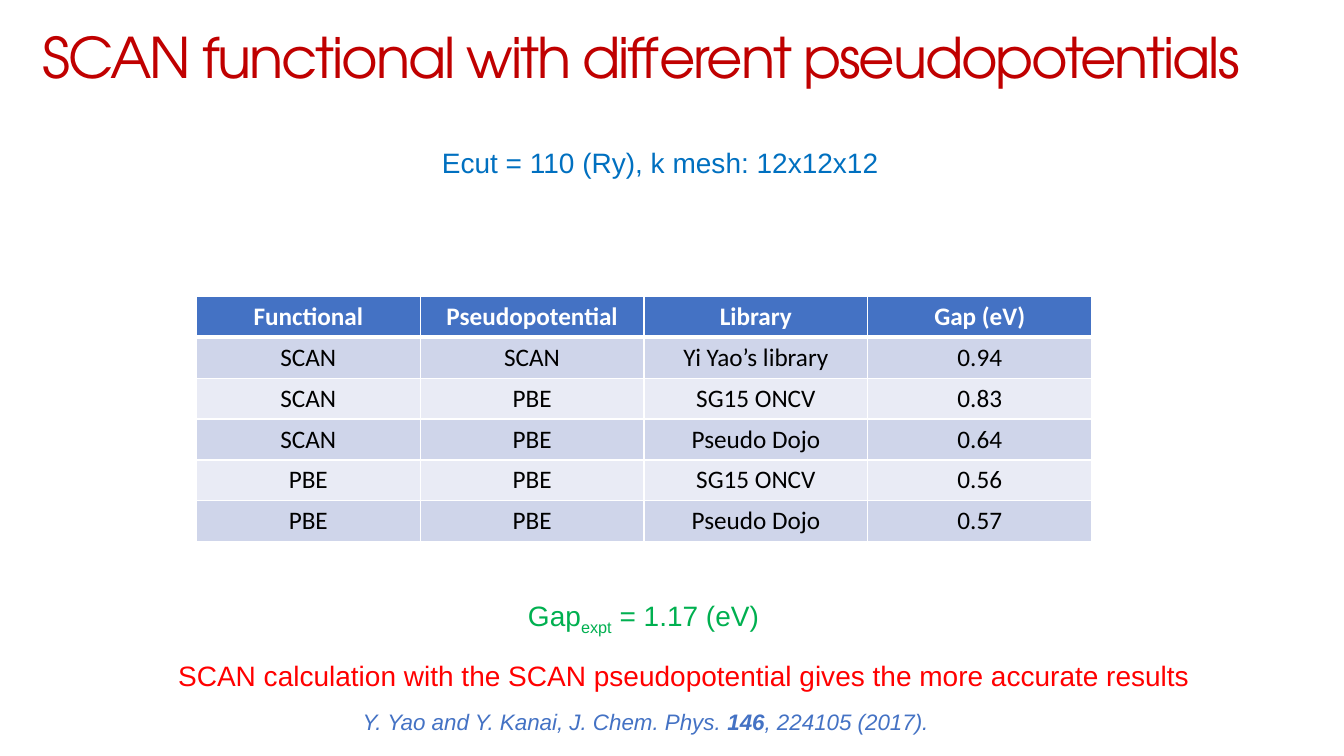
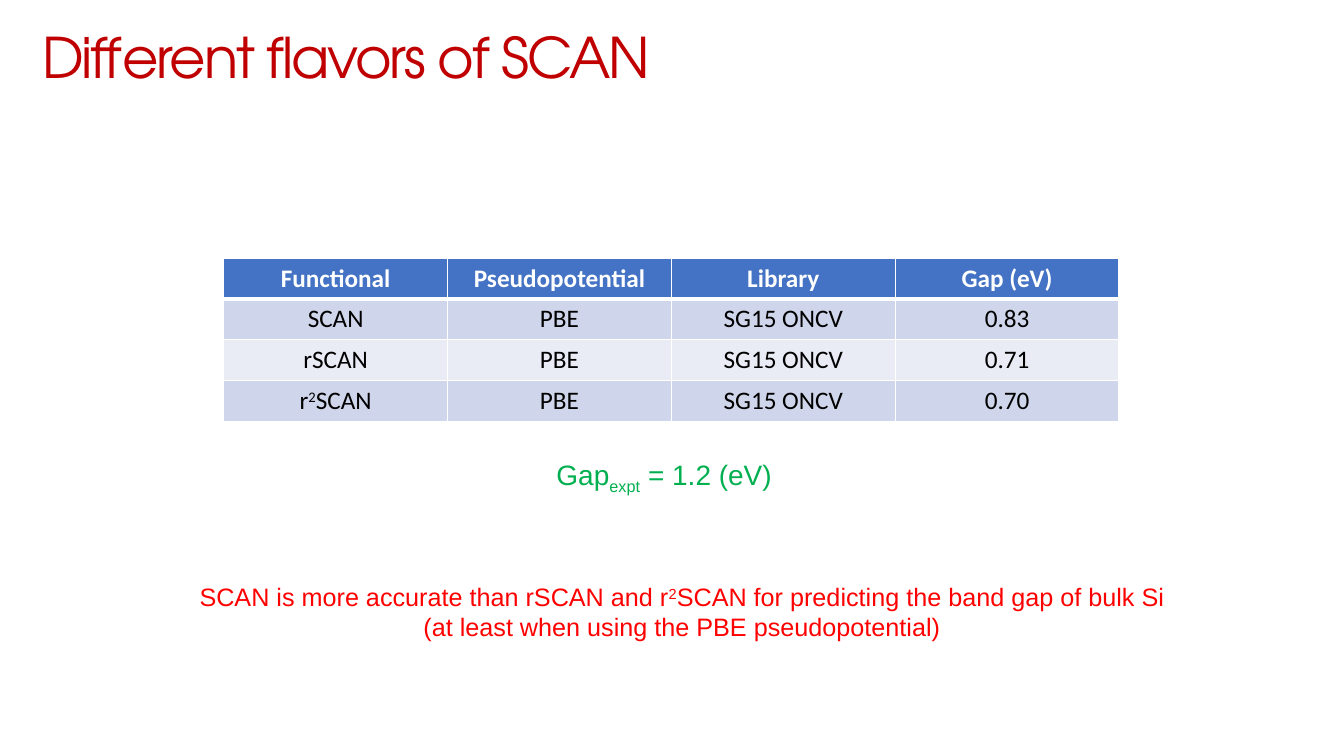
"""Build two slides comparing SCAN band gaps across pseudopotentials and flavors."""
from lxml import etree
from pptx import Presentation
from pptx.dml.color import RGBColor
from pptx.enum import text as t
from pptx.oxml import ns
from pptx.util import Cm, Pt

TITLE_RED = RGBColor(0xC0, 0x00, 0x00)
RED = RGBColor(0xFF, 0x00, 0x00)
GREEN = RGBColor(0x00, 0xB0, 0x50)
SKY = RGBColor(0x00, 0x70, 0xC0)
BLUE = RGBColor(0x44, 0x72, 0xC4)
BAND_DARK = RGBColor(0xCF, 0xD5, 0xEA)
BAND_LIGHT = RGBColor(0xE9, 0xEB, 0xF5)
WHITE = RGBColor(0xFF, 0xFF, 0xFF)
BLACK = RGBColor(0x00, 0x00, 0x00)

TITLE_FONT, BODY_FONT, TABLE_FONT = "TeX Gyre Adventor", "Arial", "Calibri"
SUB, SUPER = {"baseline": -25000}, {"baseline": 30000}
BOLD = {"b": 1}
R2SCAN = ["r", ("2", SUPER), "SCAN"]
HEADER = ["Functional", "Pseudopotential", "Library", "Gap (eV)"]
COL_WIDTH, ROW_HEIGHT = Cm(5.64), Cm(1.03)


def add_runs(p, runs, font, size, color, **attrs):
    """Fill a paragraph with a string, or with strings and (text, attributes) pairs."""
    for run in [runs] if isinstance(runs, str) else runs:
        text, extra = (run, {}) if isinstance(run, str) else run
        r = p.add_run()
        r.text = text
        r.font.name, r.font.size = font, Pt(size)
        r.font.color.rgb = color
        for name, value in {**attrs, **extra}.items():
            r._r.get_or_add_rPr().set(name, str(value))


def add_title(s, text):
    """Add the slide title."""
    tf = s.shapes.add_textbox(Cm(1.07), Cm(0.03), Cm(32.69), Cm(2.79)).text_frame
    tf.word_wrap = True
    tf.vertical_anchor = t.MSO_ANCHOR.MIDDLE
    tf.margin_left = tf.margin_top = tf.margin_bottom = 0
    tf.margin_right = Cm(0.05)
    add_runs(tf.paragraphs[0], text, TITLE_FONT, 40, TITLE_RED, spc=-150)


def add_note(s, left, top, width, height, lines, color, size=20, **attrs):
    """Add centred lines of text that do not wrap."""
    tf = s.shapes.add_textbox(Cm(left), Cm(top), Cm(width), Cm(height)).text_frame
    tf.word_wrap = False
    tf.auto_size = t.MSO_AUTO_SIZE.SHAPE_TO_FIT_TEXT
    for i, runs in enumerate(lines):
        p = tf.add_paragraph() if i else tf.paragraphs[0]
        p.alignment = t.PP_ALIGN.CENTER
        add_runs(p, runs, BODY_FONT, size, color, **attrs)


def add_measured_gap(s, left, top, width, value):
    """Add the experimental band gap."""
    runs = ["Gap", ("expt", SUB), f" = {value} (eV)"]
    add_note(s, left, top, width, 1.12, [runs], GREEN)


def set_borders(cell, **widths):
    """Draw white cell borders, 1 pt wide unless a side is given."""
    tcPr = cell._tc.get_or_add_tcPr()
    for side in "LRTB":
        ln = etree.SubElement(tcPr, ns.qn(f"a:ln{side}"), w=str(Pt(widths.get(side, 1))))
        fill = etree.SubElement(ln, ns.qn("a:solidFill"))
        etree.SubElement(fill, ns.qn("a:srgbClr"), val=str(WHITE))


def add_gap_table(s, left, top, body):
    """Add a table of band gaps with a header and banded rows."""
    rows = [HEADER, *body]
    table = s.shapes.add_table(len(rows), len(HEADER), Cm(left), Cm(top),
                               COL_WIDTH * len(HEADER), ROW_HEIGHT * len(rows)).table
    for col in table.columns:
        col.width = COL_WIDTH
    for i, row in enumerate(rows):
        table.rows[i].height = ROW_HEIGHT
        band = BAND_DARK if i % 2 else BAND_LIGHT
        fill, color, bold = (band, BLACK, 0) if i else (BLUE, WHITE, 1)
        rule = {0: {"B": 3}, 1: {"T": 3}}.get(i, {})
        for j, runs in enumerate(row):
            cell = table.cell(i, j)
            set_borders(cell, **rule)
            cell.fill.solid()
            cell.fill.fore_color.rgb = fill
            p = cell.text_frame.paragraphs[0]
            p.alignment = t.PP_ALIGN.CENTER
            add_runs(p, runs, TABLE_FONT, 18, color, b=bold)


def build_pseudopotentials(s):
    """Compare pseudopotentials for the SCAN functional."""
    add_note(s, 10.85, 3.53, 11.58, 1.12, ["Ecut = 110 (Ry), k mesh: 12x12x12"], SKY)
    add_gap_table(s, 4.95, 7.47, [
        ["SCAN", "SCAN", "Yi Yao’s library", "0.94"],
        ["SCAN", "PBE", "SG15 ONCV", "0.83"],
        ["SCAN", "PBE", "Pseudo Dojo", "0.64"],
        ["PBE", "PBE", "SG15 ONCV", "0.56"],
        ["PBE", "PBE", "Pseudo Dojo", "0.57"],
    ])
    add_measured_gap(s, 12.98, 14.96, 6.48, "1.17")
    add_note(s, 4.17, 16.46, 26.14, 1.12, [
        "SCAN calculation with the SCAN pseudopotential gives the more accurate results",
    ], RED)
    add_note(s, 8.79, 17.73, 14.96, 0.94, [
        ["Y. Yao and Y. Kanai, J. Chem. Phys. ", ("146", BOLD), ", 224105 (2017)."],
    ], BLUE, 16, i=1)


def build_flavors(s):
    """Compare SCAN with its regularized flavors."""
    add_gap_table(s, 5.64, 6.5, [
        ["SCAN", "PBE", "SG15 ONCV", "0.83"],
        ["rSCAN", "PBE", "SG15 ONCV", "0.71"],
        [R2SCAN, "PBE", "SG15 ONCV", "0.70"],
    ])
    add_measured_gap(s, 13.69, 11.4, 6.1, "1.2")
    add_note(s, 4.65, 14.53, 25.07, 1.8, [
        ["SCAN is more accurate than rSCAN and ", *R2SCAN,
         " for predicting the band gap of bulk Si"],
        "(at least when using the PBE pseudopotential)",
    ], RED, 18)


def main():
    """Build and save the presentation."""
    prs = Presentation()
    prs.slide_width, prs.slide_height = Cm(33.87), Cm(19.05)
    for title, build in [
        ("SCAN functional with different pseudopotentials", build_pseudopotentials),
        ("Different flavors of SCAN", build_flavors),
    ]:
        s = prs.slides.add_slide(prs.slide_layouts[6])
        build(s)
        add_title(s, title)
    prs.save("out.pptx")


if __name__ == "__main__":
    main()
